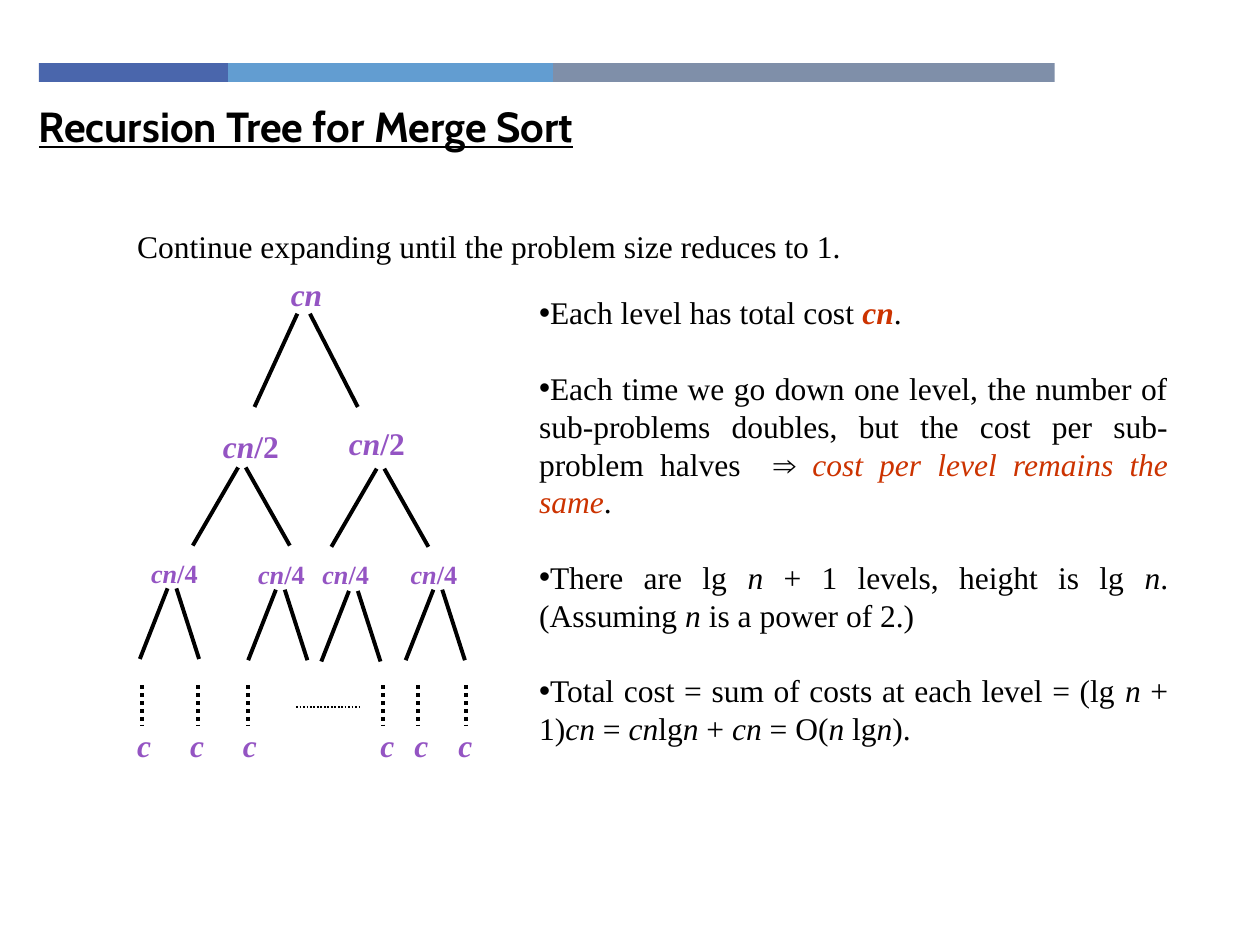
from dataclasses import dataclass

from lxml import etree
from pptx import Presentation
from pptx import util as u
from pptx.dml.color import RGBColor
from pptx.enum import dml, shapes, text
from pptx.oxml.ns import qn


@dataclass(frozen=True)
class Theme:
    black: str = "000000"
    purple: str = "9454C3"
    accent: str = "CC3300"
    bar_colors: tuple = ("4A66AC", "629DD1", "7F8FA9")
    title_font: str = "Cabin"
    body_font: str = "Times New Roman"
    title_size: int = 24
    body_size: int = 18
    small_size: int = 15
    line_spacing: float = 1.2
    branch_width: float = 2.25


THEME = Theme()

BARS = [(0.31, 1.5), (1.81, 2.58), (4.39, 3.98)]  # left, width

# left, top, label, type size; underscores enclose italics
NODES = [
    (2.21, 2.13, "_cn_", THEME.body_size),
    (1.67, 3.34, "_cn_/2", THEME.body_size),
    (2.67, 3.32, "_cn_/2", THEME.body_size),
    (1.10, 4.37, "_cn_/4", THEME.small_size),
    (1.95, 4.38, "_cn_/4", THEME.small_size),
    (2.46, 4.38, "_cn_/4", THEME.small_size),
    (3.16, 4.38, "_cn_/4", THEME.small_size),
]
LEAF_LEFTS = [0.99, 1.41, 1.83, 2.92, 3.19, 3.54]
DOTTED_XS = [1.13, 1.57, 1.97, 3.04, 3.32, 3.70]

# tops of the left branches; gap to the right branch, reach left and right, drop
FORKS = [
    ([(2.36, 2.49)], (0.10, 0.34, 0.38, 0.74)),
    ([(1.89, 3.71), (2.99, 3.72)], (0.06, 0.36, 0.35, 0.62)),
    ([(1.33, 4.67), (2.19, 4.68), (2.77, 4.69), (3.44, 4.68)],
     (0.07, 0.22, 0.18, 0.56)),
]

# text and format of its italic parts
POINTS = [
    ("Each level has total cost _cn_.", dict(color=THEME.accent, bold=True)),
    ("Each time we go down one level, the number of sub-problems doubles, "
     "but the cost per sub-problem halves  ⇒ "
     "_cost per level remains the same_.", dict(color=THEME.accent)),
    ("There are lg _n_ + 1 levels, height is lg _n_. "
     "(Assuming _n_ is a power of 2.)", {}),
    ("Total cost = sum of costs at each level = (lg _n_ + 1)_cn_ = "
     "_cn_lg_n_ + _cn_ = O(_n _lg_n_).", {}),
]


def add_run(paragraph, content, *, size=THEME.body_size, color=THEME.black,
            font=THEME.body_font, bold=False, italic=False, underline=False):
    run = paragraph.add_run()
    run.text = content
    run.font.size = u.Pt(size)
    run.font.name = font
    run.font.bold = bold
    run.font.italic = italic
    run.font.underline = underline
    run.font.color.rgb = RGBColor.from_string(color)


def add_marked_runs(paragraph, markup, italic_format=None, **run_format):
    """Writes markup in which underscores enclose italics."""
    size = run_format.get("size", THEME.body_size)
    paragraph.line_spacing = u.Pt(size * THEME.line_spacing)
    for index, content in enumerate(markup.split("_")):
        if content:
            italic = index % 2 == 1
            extra = (italic_format or {}) if italic else {}
            add_run(paragraph, content, italic=italic, **{**run_format, **extra})


def add_text_frame(slide, left, top, width, height, wrap=False):
    box = slide.shapes.add_textbox(*map(u.Inches, (left, top, width, height)))
    frame = box.text_frame
    frame.word_wrap = wrap
    return frame


def add_label(slide, left, top, width, height, markup, **run_format):
    frame = add_text_frame(slide, left, top, width, height)
    add_marked_runs(frame.paragraphs[0], markup, **run_format)


def add_line(slide, start, end, width=THEME.branch_width, dotted=False):
    line = slide.shapes.add_connector(
        shapes.MSO_CONNECTOR.STRAIGHT, *map(u.Inches, (*start, *end)))
    line.line.color.rgb = RGBColor.from_string(THEME.black)
    line.line.width = u.Pt(width)
    if dotted:
        line.line.dash_style = dml.MSO_LINE.ROUND_DOT
    properties = line._element.find(qn("p:spPr"))
    etree.SubElement(properties, qn("a:effectLst"))


def add_header(slide):
    for (left, width), color in zip(BARS, THEME.bar_colors):
        bar = slide.shapes.add_shape(
            shapes.MSO_SHAPE.RECTANGLE, *map(u.Inches, (left, 0.5, width, 0.15)))
        bar.shadow.inherit = False
        bar.fill.solid()
        bar.fill.fore_color.rgb = RGBColor.from_string(color)
        bar.line.fill.background()
    title = add_text_frame(slide, 0.21, 0.75, 4.45, 0.32, wrap=True)
    add_run(title.paragraphs[0], "Recursion Tree for Merge Sort",
            size=THEME.title_size, font=THEME.title_font, bold=True, underline=True)


def add_fork(slide, x, y, gap, reach_left, reach_right, drop):
    add_line(slide, (x, y), (x - reach_left, y + drop))
    add_line(slide, (x + gap, y), (x + gap + reach_right, y + drop))


def add_tree(slide):
    label_format = dict(color=THEME.purple, bold=True)
    for left, top, label, size in NODES:
        width = 0.2 + size * (0.014 if label == "_cn_" else 0.025)
        height = 0.1 + size * THEME.line_spacing / 72
        add_label(slide, left, top, width, height, label, size=size, **label_format)
    for tops, shape_of_fork in FORKS:
        for x, y in tops:
            add_fork(slide, x, y, *shape_of_fork)
    for x in DOTTED_XS:
        add_line(slide, (x, 5.44), (x, 5.76), dotted=True)
    add_line(slide, (2.35, 5.61), (2.86, 5.61), width=1, dotted=True)
    for left in LEAF_LEFTS:
        add_label(slide, left, 5.71, 0.31, 0.4, "_c_", **label_format)


def add_points(slide):
    frame = add_text_frame(slide, 4.18, 2.28, 5.19, 3.74, wrap=True)
    for index, (markup, italic_format) in enumerate(POINTS):
        paragraph = frame.add_paragraph() if index else frame.paragraphs[0]
        paragraph.alignment = text.PP_ALIGN.JUSTIFY
        add_marked_runs(paragraph, markup, italic_format)
        if index:
            paragraph.space_before = u.Pt(THEME.body_size * THEME.line_spacing)
        properties = paragraph._p.get_or_add_pPr()
        etree.SubElement(properties, qn("a:buFont"), typeface="Arial")
        etree.SubElement(properties, qn("a:buChar"), char="•")


def main():
    presentation = Presentation()
    presentation.slide_width = u.Inches(10)
    presentation.slide_height = u.Inches(7.5)
    slide = presentation.slides.add_slide(presentation.slide_layouts[6])
    add_header(slide)
    add_label(slide, 0.99, 1.75, 5.85, 0.4,
              "Continue expanding until the problem size reduces to 1.")
    add_tree(slide)
    add_points(slide)
    presentation.save("out.pptx")


if __name__ == "__main__":
    main()
